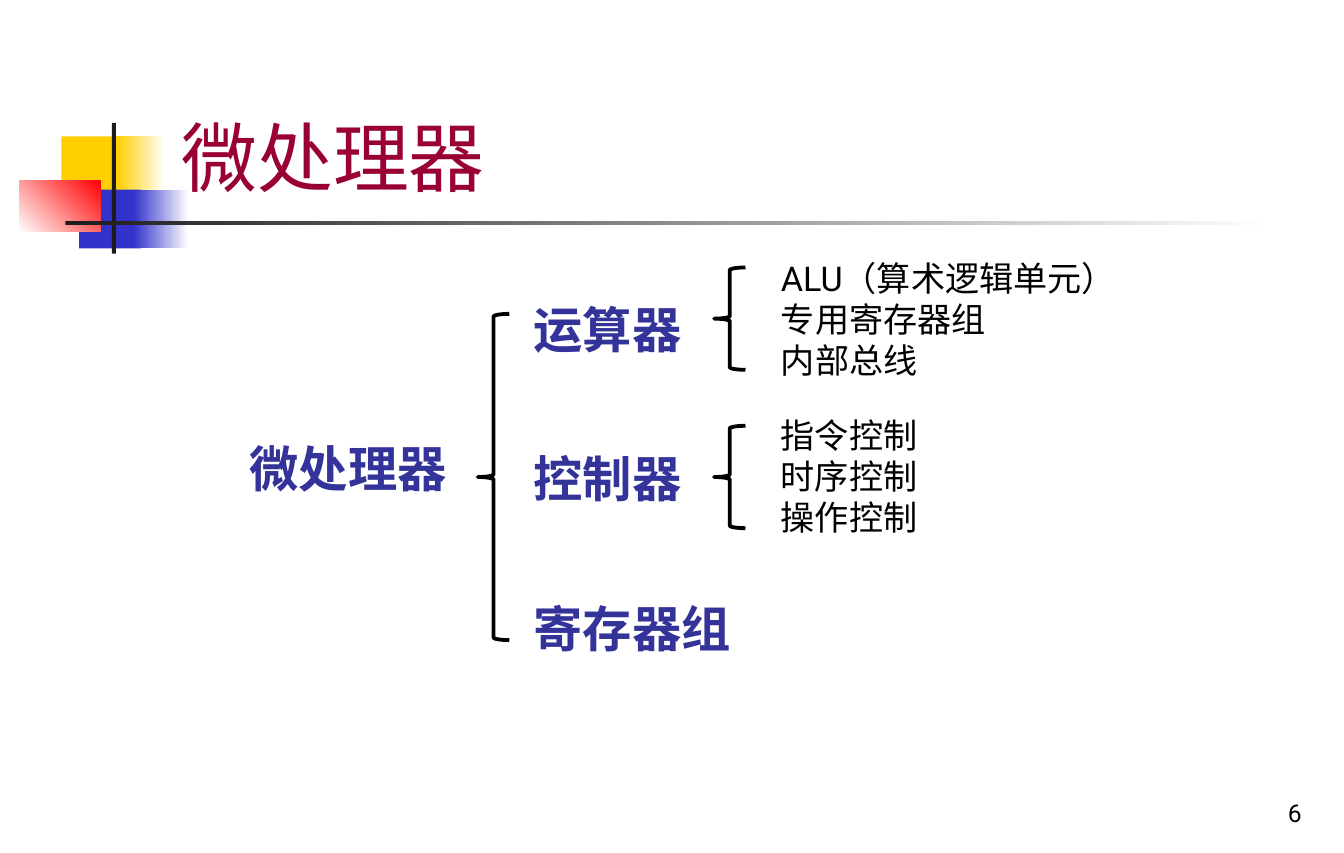
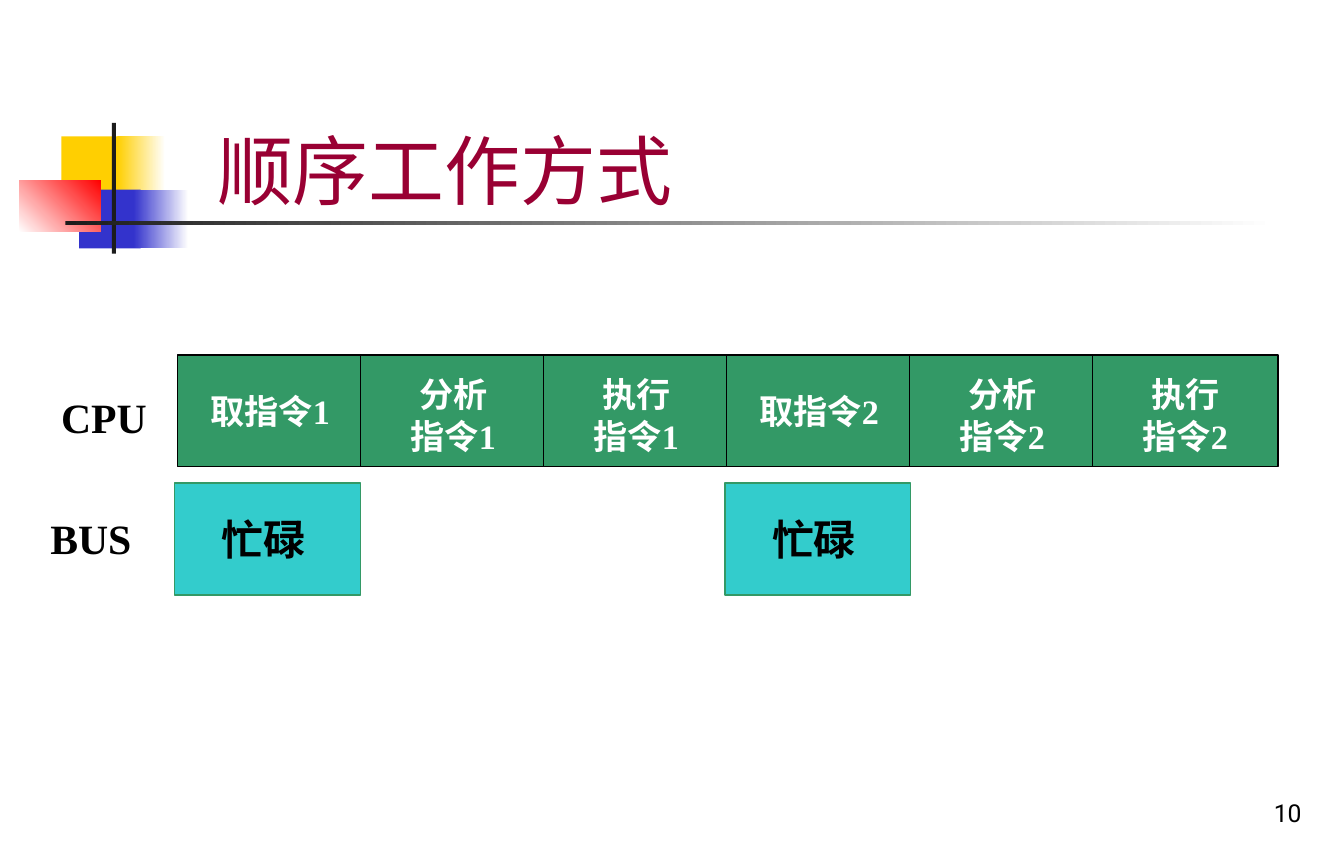
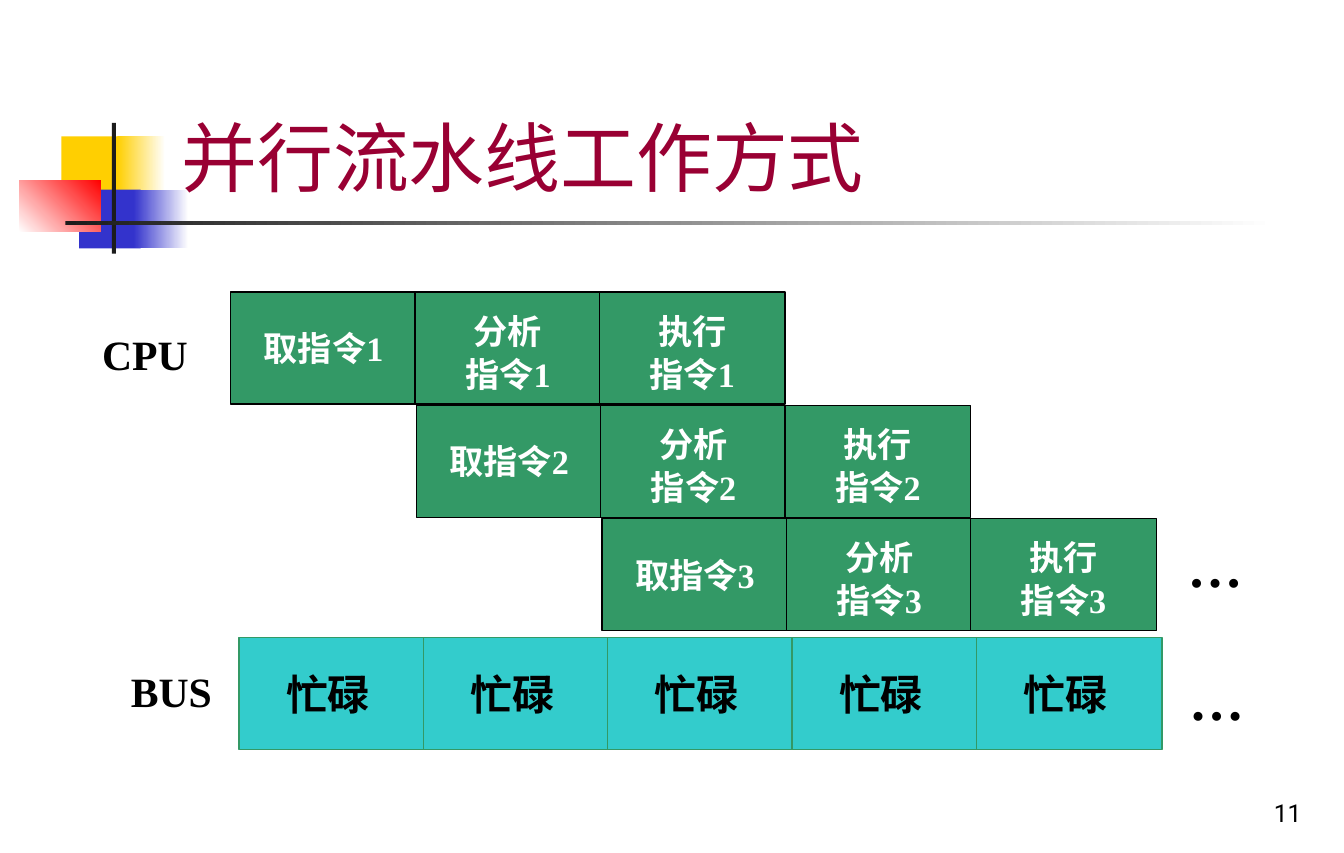
"""Three slides on the microprocessor and its ways of running instructions."""
from pptx import Presentation
from pptx.dml.color import RGBColor
from pptx.enum import shapes, text
from pptx.oxml import ns
from pptx.util import Cm, Inches, Pt
from lxml import etree


class Theme:
    sans, serif, cjk = "Roboto", "Times New Roman", "Noto Sans CJK SC"
    red, navy, black, white = "990033", "333399", "000000", "FFFFFF"
    green, cyan, dark = "339966", "33CCCC", "1C1C1C"
    gold, blue, hot = "FFCF01", "3333CC", "FF0000"
    title = dict(name=sans, size=Pt(40), bold=False, color=red)
    head = dict(name=sans, size=Pt(26), bold=True, color=navy)
    item = dict(name=sans, size=Pt(18), bold=False, color=black)
    page = dict(name=sans, size=Pt(13), bold=False, color=black)
    step = dict(name=serif, size=Pt(18), bold=True, color=white)
    label = dict(name=serif, size=Pt(22), bold=True, color=black)
    dots = dict(name=serif, size=Pt(29), bold=True, color=black)


def write(shape, lines, style, align="LEFT", anchor="TOP", gap=0, pitch=1.0):
    frame = shape.text_frame
    frame.word_wrap = True
    frame.vertical_anchor = getattr(text.MSO_ANCHOR, anchor)
    for i, line in enumerate(lines):
        para = frame.paragraphs[0] if i == 0 else frame.add_paragraph()
        look = dict(alignment=getattr(text.PP_ALIGN, align), line_spacing=pitch,
                    space_before=Pt(gap if i else 0), space_after=Pt(0))
        for key, val in look.items():
            setattr(para, key, val)
        run = para.add_run()
        run.text = line
        for key, val in style.items():
            if key == "color":
                run.font.color.rgb = RGBColor.from_string(val)
            else:
                setattr(run.font, key, val)
        face = etree.SubElement(run.font._element, ns.qn("a:ea"))
        face.set("typeface", Theme.cjk if style["name"] == Theme.cjk else Theme.sans)


def draw(slide, kind, spot, fill=None, line=None, width=0.75):
    shape = slide.shapes.add_shape(getattr(shapes.MSO_SHAPE, kind), *map(Inches, spot))
    shape.shadow.inherit = False
    if fill:
        shape.fill.solid()
        shape.fill.fore_color.rgb = RGBColor.from_string(fill)
    else:
        shape.fill.background()
    if line:
        shape.line.color.rgb = RGBColor.from_string(line)
        shape.line.width = Pt(width)
    else:
        shape.line.fill.background()
    return shape


deck = Presentation()
deck.slide_width, deck.slide_height = Cm(25), Inches(6.25)
base = deck.slide_layouts[5]
for hold in list(base.placeholders)[1:]:
    hold.element.getparent().remove(hold.element)

broad = (1.23, 0.2, 8.39, 1.33)
plan = [
    ("微处理器", "6", broad, Theme.sans),
    ("顺序工作方式", "10", (1.49, 0.7, 5.83, 0.92), Theme.cjk),
    ("并行流水线工作方式", "11", broad, Theme.sans),
]
pages = []
for name, num, spot, face in plan:
    slide = deck.slides.add_slide(base)
    title = slide.shapes.title
    for key, val in zip(("left", "top", "width", "height"), spot):
        setattr(title, key, Inches(val))
    write(title, [name], {**Theme.title, "name": face}, anchor="BOTTOM")
    foot = slide.shapes.add_textbox(*map(Inches, (7.58, 5.69, 2.05, 0.42)))
    write(foot, [num], Theme.page, "RIGHT", "BOTTOM")
    pages.append(slide)
tree, serial, pipe = pages

decor = [
    ((0.45, 1, 0.47, 0.43), Theme.gold, None, 0),
    ((0.86, 1, 0.35, 0.43), Theme.gold, Theme.white, 0),
    ((0.58, 1.39, 0.45, 0.43), Theme.blue, None, 0),
    ((0.98, 1.39, 0.4, 0.43), Theme.blue, Theme.white, 0),
    ((0.14, 1.32, 0.6, 0.38), Theme.white, Theme.hot, 45),
    ((0.82, 0.9, 0.03, 0.96), Theme.dark, None, 0),
    ((0.48, 1.62, 8.86, 0.03), Theme.dark, Theme.white, 0),
]
for spot, start, end, angle in decor:
    part = draw(tree, "RECTANGLE", spot, start)
    if end:
        part.fill.gradient()
        part.fill.gradient_angle = angle
        for stop, tone in zip(part.fill.gradient_stops, (start, end)):
            stop.color.rgb = RGBColor.from_string(tone)
    base.placeholders[0].element.addprevious(part.element)

for spot in ((3.5, 2.3, 0.23, 2.39), (5.23, 1.96, 0.23, 0.75), (5.23, 3.12, 0.23, 0.75)):
    draw(tree, "LEFT_BRACE", spot, line=Theme.black, width=2)
notes = [
    ((1.73, 3.12, 2.23, 0.52), ["微处理器"], Theme.head, 0, 1.1),
    ((3.81, 2.1, 3.34, 2.8), ["运算器", "控制器", "寄存器组"], Theme.head, 44.5, 1.1),
    ((5.62, 1.84, 3.15, 1.01), ["ALU（算术逻辑单元）", "专用寄存器组", "内部总线"], Theme.item, 0, 1.0),
    ((5.62, 2.99, 2.77, 1.01), ["指令控制", "时序控制", "操作控制"], Theme.item, 0, 1.0),
]
for spot, lines, style, gap, pitch in notes:
    write(tree.shapes.add_textbox(*map(Inches, spot)), lines, style, gap=gap, pitch=pitch)

wide, high = 1.36, 0.82
steps = [["取指令{}"], ["分析", "指令{}"], ["执行", "指令{}"]]
cells = []
for row in range(3):
    for col, lines in enumerate(steps):
        if row < 2:
            cells.append((serial, 1.3 + 1.34 * (3 * row + col), 2.6, row, lines))
        cells.append((pipe, 1.69 + 1.36 * row + 1.35 * col, 2.14 + 0.83 * row, row, lines))
for slide, left, top, row, lines in cells:
    cell = draw(slide, "RECTANGLE", (left, top, wide, high), Theme.green, Theme.black)
    cell.text_frame.margin_top = Inches(0.06 * (len(lines) - 1))
    cell.text_frame.margin_bottom = 0
    write(cell, [line.format(row + 1) for line in lines], Theme.step, "CENTER", "MIDDLE", 1)

loads = [(serial, 1.28, 3.54), (serial, 5.31, 3.54)]
loads += [(pipe, 1.75 + 1.35 * i, 4.67) for i in range(5)]
for slide, left, top in loads:
    load = draw(slide, "RECTANGLE", (left, top, wide, high), Theme.cyan, Theme.green)
    load.text_frame.margin_left, load.text_frame.margin_right = Inches(0.04), Inches(0.1)
    write(load, ["忙碌"], Theme.label, "CENTER", "MIDDLE")

tags = [
    (serial, 0.35, 2.82, "CPU", Theme.label),
    (serial, 0.27, 3.71, "BUS", Theme.label),
    (pipe, 0.65, 2.36, "CPU", Theme.label),
    (pipe, 0.86, 4.83, "BUS", Theme.label),
    (pipe, 8.6, 3.85, "…", Theme.dots),
    (pipe, 8.61, 4.83, "…", Theme.dots),
]
for slide, left, top, word, style in tags:
    write(slide.shapes.add_textbox(*map(Inches, (left, top, 0.9, 0.47))), [word], style)

deck.save("out.pptx")
